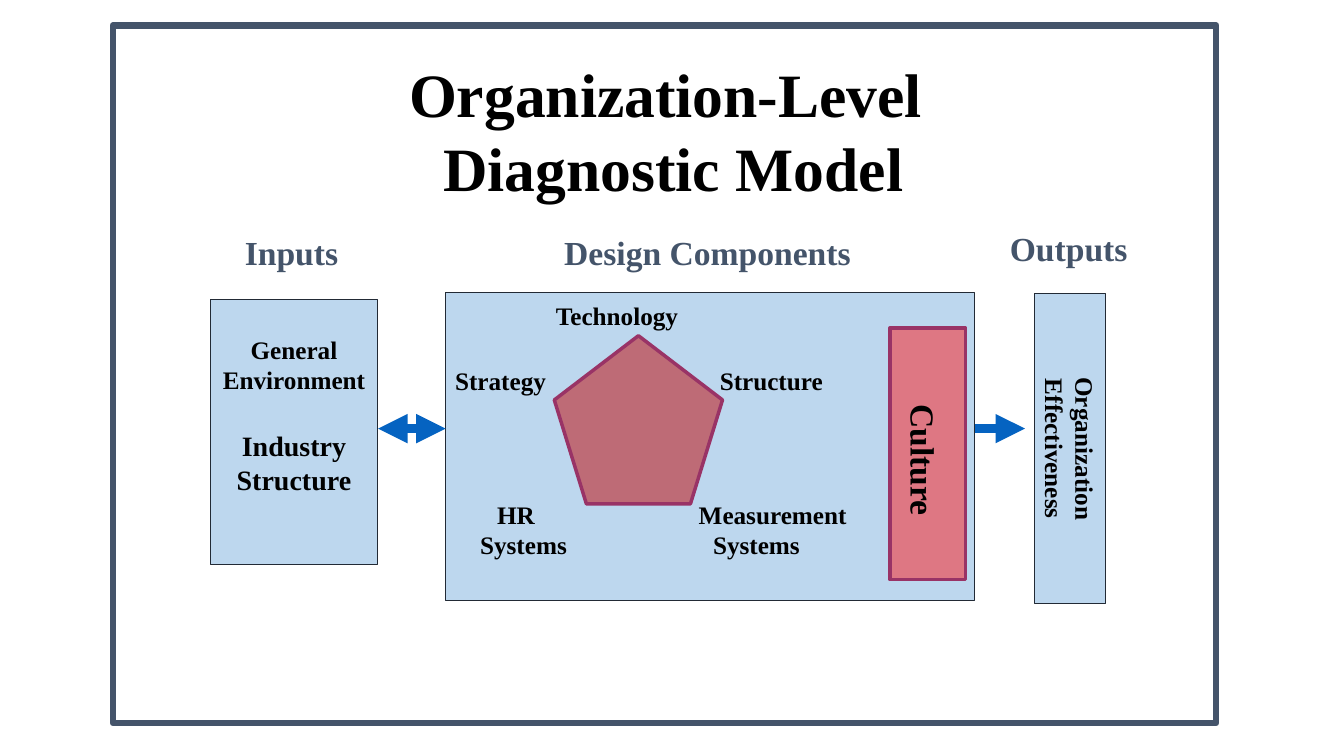
import pptx
import pptx.dml.color
import pptx.enum.shapes
import pptx.enum.text
import pptx.oxml
import pptx.oxml.ns
import pptx.util
from pptx.util import Cm

RGBColor = pptx.dml.color.RGBColor
MSO_SHAPE = pptx.enum.shapes.MSO_SHAPE
ALIGN = pptx.enum.text.PP_ALIGN
ANCHOR = pptx.enum.text.MSO_ANCHOR
qn = pptx.oxml.ns.qn

BLACK = RGBColor(0x00, 0x00, 0x00)
SLATE = RGBColor(0x44, 0x54, 0x6A)
PALE_BLUE = RGBColor(0xBD, 0xD7, 0xEE)
DARK_EDGE = RGBColor(0x22, 0x2A, 0x35)
ARROW_BLUE = RGBColor(0x05, 0x63, 0xC1)
PENTAGON_RED = RGBColor(0xC0, 0x00, 0x00)
CULTURE_RED = RGBColor(0xFF, 0x19, 0x19)
PLUM = RGBColor(0x99, 0x33, 0x66)
FONT_NAME = "Times New Roman"


def cms(values):
    return [Cm(value) for value in values]


def write_lines(frame, lines, size, color=BLACK, align=ALIGN.LEFT):
    """Write one paragraph per line and return the paragraphs."""
    frame.text = "\n".join(lines)
    formats = {"name": FONT_NAME, "size": pptx.util.Pt(size), "bold": True}
    for paragraph in frame.paragraphs:
        paragraph.alignment = align
        for attribute, value in formats.items():
            setattr(paragraph.font, attribute, value)
        paragraph.font.color.rgb = color
    return frame.paragraphs


def add_block(slide, kind, box, edge, edge_width, fill=None, opacity=100):
    block = slide.shapes.add_shape(kind, *cms(box))
    block.shadow.inherit = False
    block.line.color.rgb = edge
    block.line.width = pptx.util.Pt(edge_width)
    if fill is None:
        block.fill.background()
        return block
    block.fill.solid()
    block.fill.fore_color.rgb = fill
    if opacity < 100:
        color = block.fill._xPr.find(qn("a:solidFill"))[0]
        alpha = pptx.oxml.parse_xml(f"<a:alpha {pptx.oxml.ns.nsdecls('a')}/>")
        alpha.set("val", str(opacity * 1000))
        color.append(alpha)
    return block


def add_heading(slide, text, box, color=SLATE, rotation=0):
    heading = slide.shapes.add_textbox(*cms(box))
    heading.rotation = rotation
    heading.text_frame.word_wrap = False
    write_lines(heading.text_frame, [text], 24, color)


def add_component(slide, left, top, width, lines):
    """Add a label; each line is a text with its indent in cm."""
    label = slide.shapes.add_textbox(*cms((left, top, width, 0.8 * len(lines))))
    frame = label.text_frame
    frame.word_wrap = True
    for side in ("left", "right", "top", "bottom"):
        setattr(frame, f"margin_{side}", 0)
    paragraphs = write_lines(frame, [text for text, _ in lines], 18)
    for paragraph, (_, indent) in zip(paragraphs, lines):
        paragraph._p.get_or_add_pPr().set("marL", str(Cm(indent)))


def add_arrow(slide, start, end, y, heads):
    arrow = slide.shapes.add_connector(
        pptx.enum.shapes.MSO_CONNECTOR.STRAIGHT, *cms((start, y, end, y)))
    arrow.line.color.rgb = ARROW_BLUE
    arrow.line.width = pptx.util.Pt(7)
    line = arrow.line._get_or_add_ln()
    for head in heads:
        line.append(pptx.oxml.parse_xml(
            f'<a:{head} {pptx.oxml.ns.nsdecls("a")} type="triangle"/>'))
    arrow._element.spPr.append(pptx.oxml.parse_xml(
        f"<a:effectLst {pptx.oxml.ns.nsdecls('a')}/>"))


def add_title(slide):
    title = slide.shapes.title
    title.left, title.top, title.width, title.height = cms((5.38, 1.27, 23.19, 4.01))
    title.text_frame.auto_size = pptx.enum.text.MSO_AUTO_SIZE.NONE
    title.text_frame.vertical_anchor = ANCHOR.MIDDLE
    write_lines(title.text_frame, ["Organization-Level ", "Diagnostic Model"],
                44, align=ALIGN.CENTER)


def add_inputs(slide):
    inputs = add_block(slide, MSO_SHAPE.RECTANGLE, (5.3, 7.54, 4.22, 6.68),
                       DARK_EDGE, 0.75, PALE_BLUE)
    frame = inputs.text_frame
    frame.vertical_anchor = ANCHOR.TOP
    frame.margin_top = Cm(0.89)
    lines = write_lines(frame, ["General", "Environment", "Industry", "Structure"],
                        18, align=ALIGN.CENTER)
    for industry_line in lines[2:]:
        industry_line.font.size = pptx.util.Pt(20)
    lines[2].space_before = pptx.util.Pt(24)


def add_design(slide):
    add_block(slide, MSO_SHAPE.RECTANGLE, (11.23, 7.37, 13.33, 7.77),
              DARK_EDGE, 0.75, PALE_BLUE)
    add_block(slide, MSO_SHAPE.REGULAR_PENTAGON, (13.97, 8.46, 4.24, 4.24),
              PLUM, 2.5, PENTAGON_RED, 50)
    components = [
        (14.01, 7.58, 3.5, [("Technology", 0)]),
        (11.47, 9.2, 2.7, [("Strategy", 0)]),
        (18.14, 9.2, 3, [("Structure", 0)]),
        (12.1, 12.57, 2.7, [("HR", 0.43), ("Systems", 0)]),
        (17.61, 12.57, 4.2, [("Measurement", 0), ("Systems", 0.36)]),
    ]
    for component in components:
        add_component(slide, *component)
    add_block(slide, MSO_SHAPE.RECTANGLE, (22.43, 8.26, 1.9, 6.35),
              PLUM, 2.5, CULTURE_RED, 50)
    add_heading(slide, "Culture", (21.62, 10.97, 3.33, 1.27), BLACK, 90)


def add_outputs(slide):
    outputs = add_block(slide, MSO_SHAPE.RECTANGLE, (23.06, 10.41, 7.82, 1.8),
                        DARK_EDGE, 0.75, PALE_BLUE)
    outputs.rotation = 90
    outputs.text_frame.vertical_anchor = ANCHOR.MIDDLE
    write_lines(outputs.text_frame, ["Organization", "Effectiveness"],
                18, align=ALIGN.CENTER)


def main():
    deck = pptx.Presentation()
    deck.slide_width, deck.slide_height = cms((33.87, 19.05))
    slide = deck.slides.add_slide(deck.slide_layouts.get_by_name("Title Only"))

    # Frame and title
    add_block(slide, MSO_SHAPE.RECTANGLE, (2.84, 0.64, 27.81, 17.58), SLATE, 4.5)
    add_title(slide)

    # Column headings
    add_heading(slide, "Inputs", (5.92, 5.72, 2.87, 1.27))
    add_heading(slide, "Design Components", (13.97, 5.72, 7.75, 1.27))
    add_heading(slide, "Outputs", (25.2, 5.61, 3.48, 1.27))

    # Model
    add_inputs(slide)
    add_design(slide)
    add_outputs(slide)

    # Flow between the parts
    add_arrow(slide, 9.53, 11.23, 10.8, ["headEnd", "tailEnd"])
    add_arrow(slide, 24.56, 25.83, 10.8, ["tailEnd"])

    deck.save("out.pptx")


if __name__ == "__main__":
    main()
